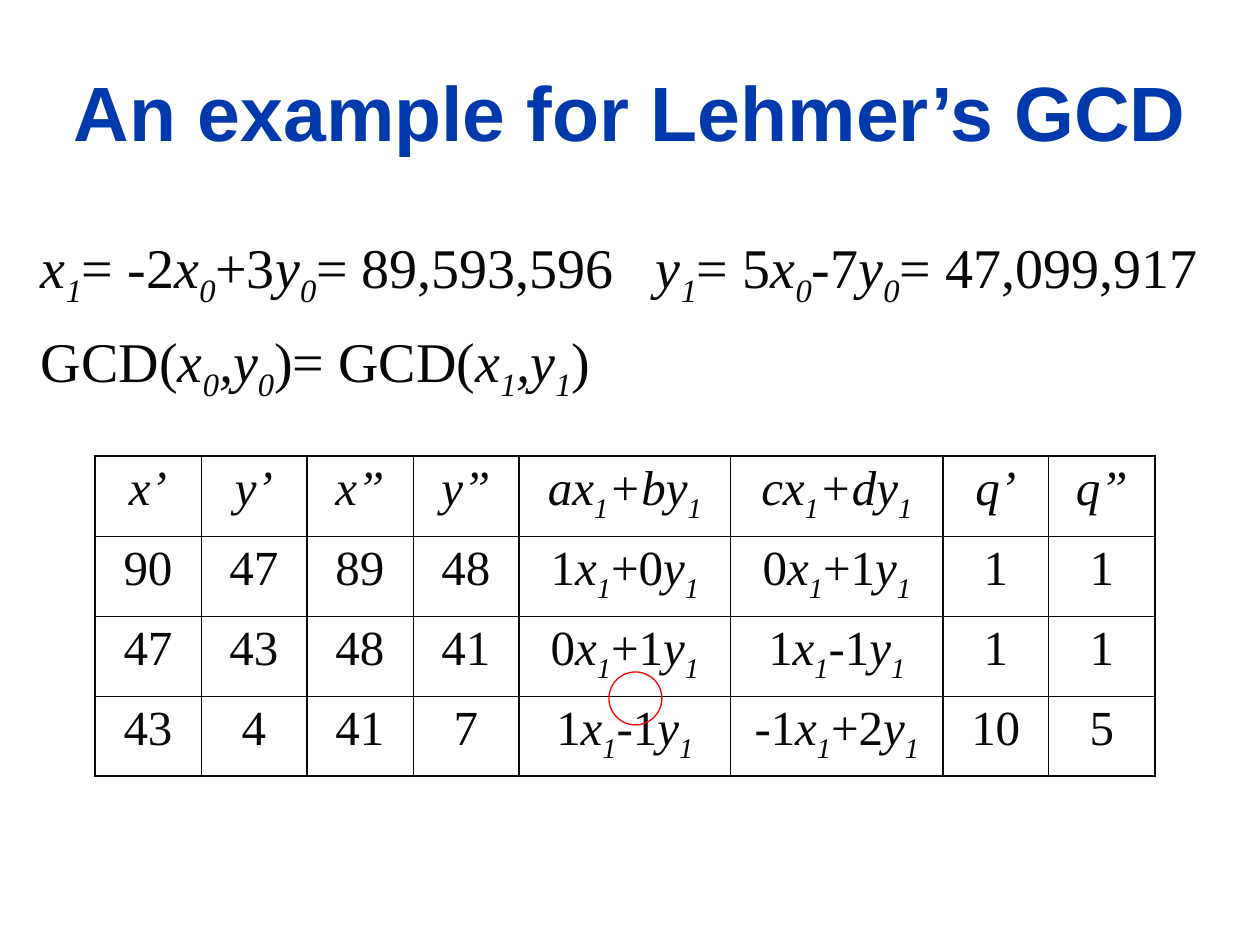
from lxml import etree
from pptx import Presentation
from pptx.dml.color import RGBColor
from pptx.enum.shapes import MSO_SHAPE
from pptx.enum.text import MSO_ANCHOR, PP_ALIGN
from pptx.oxml.ns import qn
from pptx.util import Emu, Pt

CENTER = PP_ALIGN.CENTER
MIDDLE = MSO_ANCHOR.MIDDLE
OVAL = MSO_SHAPE.OVAL
BLUE = RGBColor(0x00, 0x39, 0xAC)
INK = RGBColor(0x08, 0x08, 0x08)
RED = RGBColor(0xFF, 0x00, 0x00)
HEADING_FONT = "Arial"
MATH_FONT = "Times New Roman"
PX = 914400 // 126

# Content: *...* is italic, _ lowers the next character
TITLE = "An example for Lehmer’s GCD"
EQUATIONS = [
    "*x_1*= -2*x_0*+3*y_0*= 89,593,596\t*y_1*= 5*x_0*-7*y_0*= 47,099,917",
    "GCD(*x_0,y_0*)= GCD(*x_1,y_1*)",
]
STEPS = [
    ["*x’*", "*y’*", "*x”*", "*y”*", "*ax_1+by_1*", "*cx_1+dy_1*", "*q’*", "*q”*"],
    ["90", "47", "89", "48", "1*x_1*+0*y_1*", "0*x_1*+1*y_1*", "1", "1"],
    ["47", "43", "48", "41", "0*x_1*+1*y_1*", "1*x_1*-1*y_1*", "1", "1"],
    ["43", "4", "41", "7", "1*x_1*-1*y_1*", "*-*1*x_1*+2*y_1*", "10", "5"],
]

# Layout in px
TITLE_BOX = (42, 32, 1177, 158)
EQUATION_BOX = (0, 226, 1260, 200)
EQUATION_INSET = 41
SECOND_EQUATION_TAB = 615
TABLE_LEFT, TABLE_TOP = 95, 456
COLUMN_WIDTHS = [106] * 4 + [212] * 2 + [106] * 2
ROW_HEIGHT = 80
CIRCLE_BOX = (609, 672, 53, 53)
THICK, THIN = Pt(1.08), Pt(0.45)


def px(*lengths):
    return [Emu(length * PX) for length in lengths]


def write_math(paragraph, markup, size):
    for index, part in enumerate(markup.split("*")):
        base, *lowered = part.split("_")
        pieces = [(base, False)]
        for text in lowered:
            pieces += [(text[0], True), (text[1:], False)]
        for text, is_subscript in pieces:
            if not text:
                continue
            run = paragraph.add_run()
            run.text = text
            run.font.name = MATH_FONT
            run.font.size = Pt(size)
            run.font.italic = index % 2 == 1
            run.font.color.rgb = INK
            if is_subscript:
                run._r.get_or_add_rPr().set("baseline", "-25000")


def set_borders(cell, widths):
    properties = cell._tc.get_or_add_tcPr()
    for index, (tag, width) in enumerate(widths.items()):
        line = etree.Element(qn(f"a:{tag}"), w=str(int(width)))
        fill = etree.SubElement(line, qn("a:solidFill"))
        etree.SubElement(fill, qn("a:srgbClr"), val=str(INK))
        properties.insert(index, line)


presentation = Presentation()
presentation.slide_width, presentation.slide_height = px(1260, 945)
slide = presentation.slides.add_slide(presentation.slide_layouts[6])

# Title
title_frame = slide.shapes.add_textbox(*px(*TITLE_BOX)).text_frame
title_frame.word_wrap = True
title_frame.vertical_anchor = MIDDLE
title_frame.text = TITLE
paragraph = title_frame.paragraphs[0]
paragraph.alignment = CENTER
font = paragraph.runs[0].font
font.name, font.size, font.bold = HEADING_FONT, Pt(44), True
font.color.rgb = BLUE

# Equations
equation_frame = slide.shapes.add_textbox(*px(*EQUATION_BOX)).text_frame
equation_frame.word_wrap = True
equation_frame.margin_left = px(EQUATION_INSET)[0]
for index, equation in enumerate(EQUATIONS):
    paragraph = equation_frame.add_paragraph() if index else equation_frame.paragraphs[0]
    if index:
        paragraph.space_before = Pt(10)
    if "\t" in equation:
        tabs = etree.SubElement(paragraph._p.get_or_add_pPr(), qn("a:tabLst"))
        etree.SubElement(tabs, qn("a:tab"), pos=str(SECOND_EQUATION_TAB * PX), algn="l")
    write_math(paragraph, equation, 32)

# Table of steps: columns come in pairs, set apart by thicker lines
table_box = (TABLE_LEFT, TABLE_TOP, sum(COLUMN_WIDTHS), ROW_HEIGHT * len(STEPS))
table = slide.shapes.add_table(len(STEPS), len(COLUMN_WIDTHS), *px(*table_box)).table
table.first_row = table.horz_banding = False
for column, width in zip(table.columns, px(*COLUMN_WIDTHS)):
    column.width = width
for row_index, step in enumerate(STEPS):
    table.rows[row_index].height = px(ROW_HEIGHT)[0]
    for column_index, markup in enumerate(step):
        cell = table.cell(row_index, column_index)
        cell.fill.background()
        starts_pair = column_index % 2 == 0
        set_borders(cell, {
            "lnL": THICK if starts_pair else THIN,
            "lnR": THIN if starts_pair else THICK,
            "lnT": THICK if row_index == 0 else THIN,
            "lnB": THICK if row_index == len(STEPS) - 1 else THIN,
        })
        paragraph = cell.text_frame.paragraphs[0]
        paragraph.alignment = CENTER
        write_math(paragraph, markup, 28)

# Circle
circle = slide.shapes.add_shape(OVAL, *px(*CIRCLE_BOX))
circle.shadow.inherit = False
circle.fill.background()
circle.line.color.rgb = RED
circle.line.width = Pt(0.75)

presentation.save("out.pptx")
